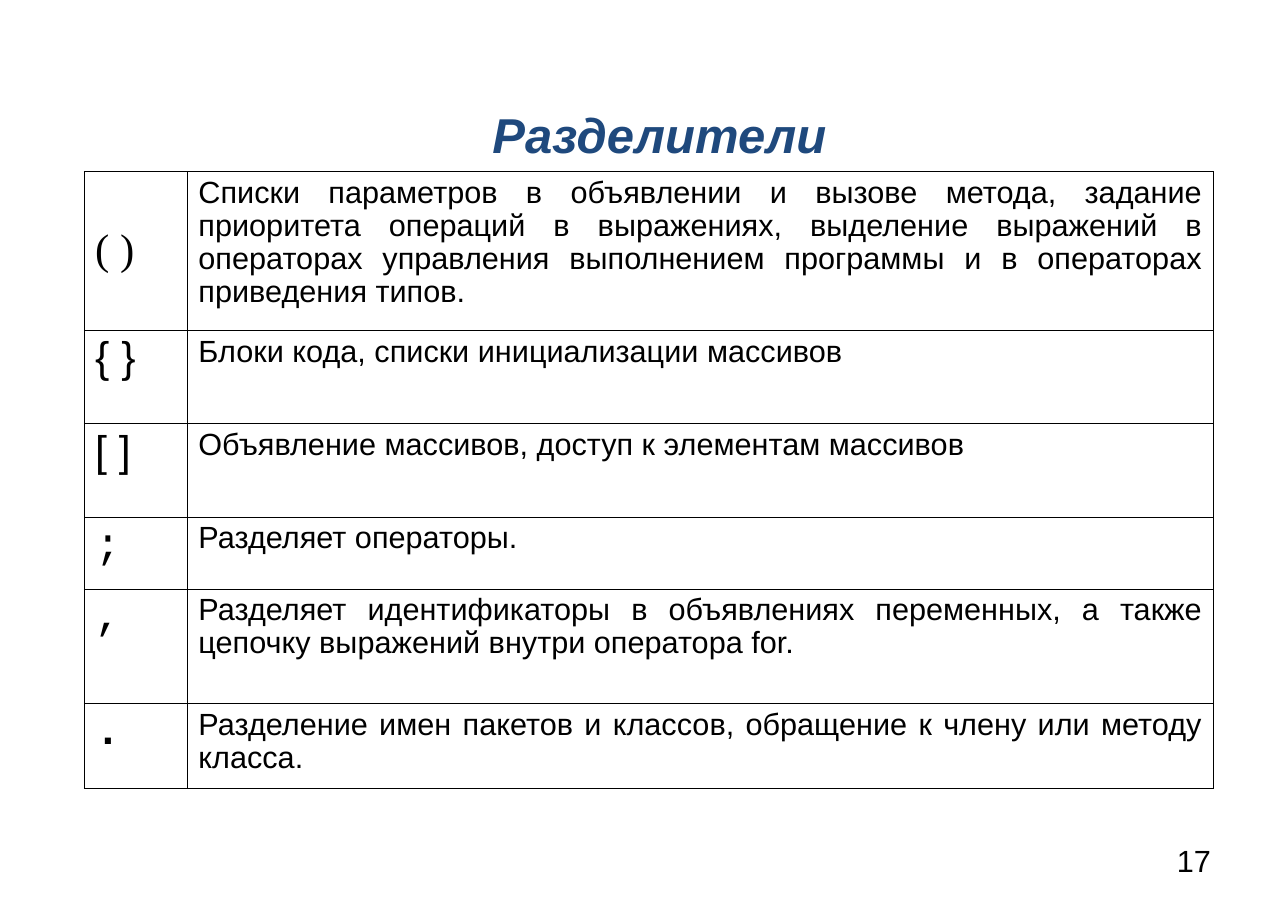
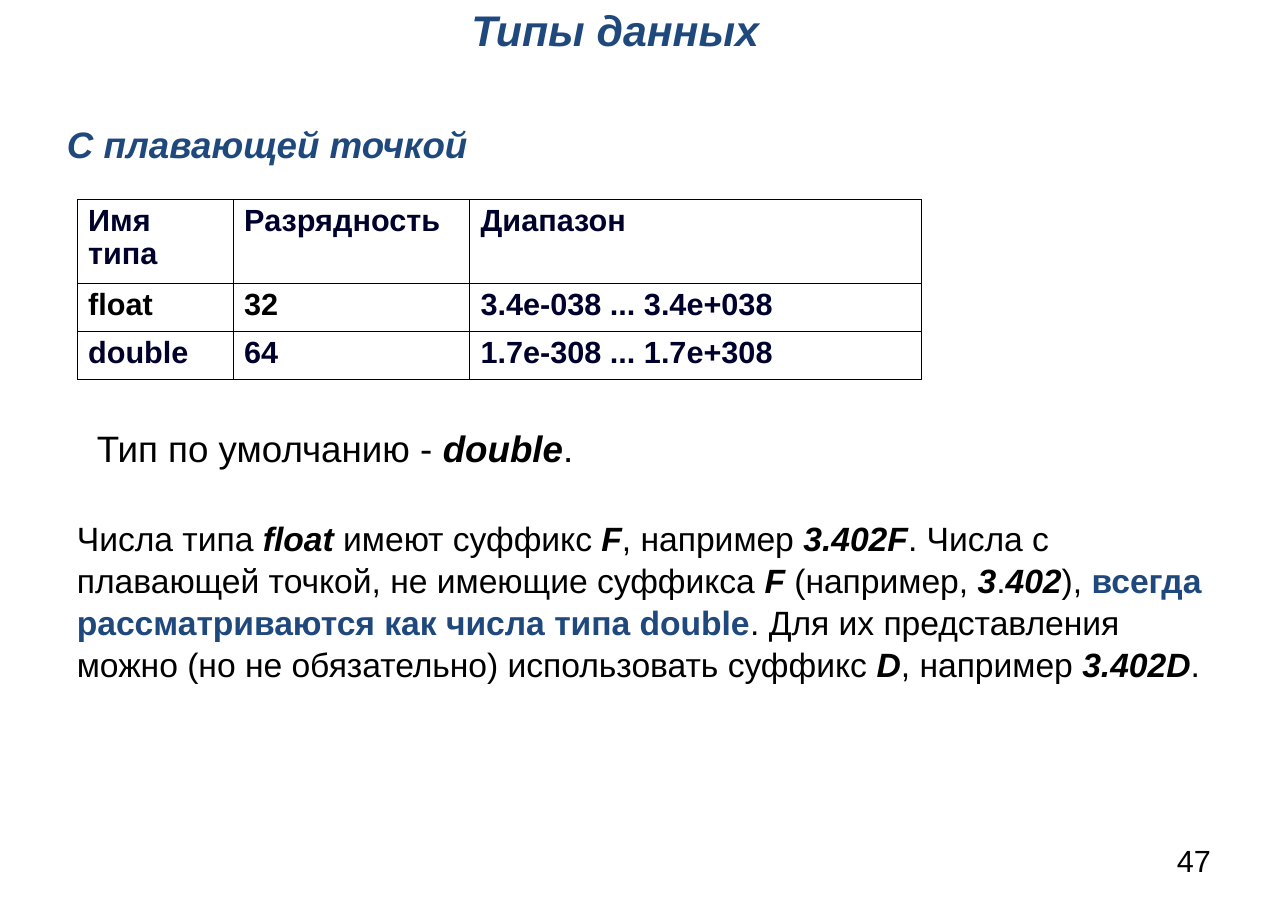
"""Builds two lecture slides on separators and floating-point types."""
from dataclasses import dataclass

from lxml import etree
from pptx import Presentation
from pptx.dml.color import RGBColor
from pptx.enum import text as t
from pptx.oxml import ns
from pptx.util import Pt


@dataclass(frozen=True)
class Theme:
    """Colours, fonts and type sizes of the deck."""
    accent: str = "1F497D"
    ink: str = "000000"
    navy: str = "00002C"
    paper: str = "FFFFFF"
    sans: str = "Arial"
    serif: str = "Times New Roman"
    mono: str = "Courier New"
    cell: int = 20
    prose: int = 22
    lead: int = 24
    symbol: int = 28
    border: float = 0.45


THEME = Theme()


@dataclass(frozen=True)
class Style:
    """Look of one run of text."""
    size: float
    color: str = THEME.ink
    bold: bool = False
    italic: bool = False
    font: str = THEME.sans


class Deck:
    """Holds the presentation, the theme and the current slide."""

    def __init__(self, width, height):
        self.file = Presentation()
        self.file.slide_width, self.file.slide_height = Pt(width), Pt(height)
        self.slide = None

    def new_slide(self, heading, center, top, size, number):
        """Add a slide with its title and page number."""
        self.slide = self.file.slides.add_slide(self.file.slide_layouts[5])
        title = self.slide.shapes.title
        width, height = 290, 38
        title.left, title.top = Pt(center - width / 2), Pt(top)
        title.width, title.height = Pt(width), Pt(height)
        self.fill_frame(title.text_frame,
                        [(heading, Style(size, THEME.accent, True, True))],
                        align=t.PP_ALIGN.CENTER, insets=(0, 0),
                        anchor=t.MSO_ANCHOR.MIDDLE)
        self.text(769, 550, 26, 24, [(number, Style(THEME.cell))], insets=(0, 0))

    def fill_frame(self, frame, runs, align=t.PP_ALIGN.LEFT, spacing=1.0,
                   insets=(7.2, 3.6), anchor=t.MSO_ANCHOR.TOP):
        """Format a text frame and add its runs."""
        frame.word_wrap = True
        frame.auto_size = t.MSO_AUTO_SIZE.NONE
        frame.vertical_anchor = anchor
        frame.margin_left = frame.margin_right = Pt(insets[0])
        frame.margin_top = frame.margin_bottom = Pt(insets[1])
        self.add_runs(frame.paragraphs[0], runs, align, spacing)

    def add_runs(self, paragraph, runs, align=t.PP_ALIGN.LEFT, spacing=1.0):
        """Add styled runs to a paragraph."""
        paragraph.alignment = align
        paragraph.line_spacing = spacing
        for words, style in runs:
            run = paragraph.add_run()
            run.text = words
            run.font.size = Pt(style.size)
            run.font.name = style.font
            run.font.bold, run.font.italic = style.bold, style.italic
            run.font.color.rgb = RGBColor.from_string(style.color)

    def text(self, left, top, width, height, runs, **layout):
        """Add a text box."""
        box = self.slide.shapes.add_textbox(Pt(left), Pt(top), Pt(width), Pt(height))
        self.fill_frame(box.text_frame, runs, **layout)

    def table(self, left, top, widths, heights, rows):
        """Add a ruled table whose cells are (words, style, alignment)."""
        grid = self.slide.shapes.add_table(
            len(heights), len(widths), Pt(left), Pt(top),
            Pt(sum(widths)), Pt(sum(heights))).table
        grid.first_row = grid.horz_banding = False
        for column, width in zip(grid.columns, widths):
            column.width = Pt(width)
        for row, height, entries in zip(grid.rows, heights, rows):
            row.height = Pt(height)
            for cell, (words, style, align) in zip(row.cells, entries):
                cell.margin_left = cell.margin_right = Pt(7.2)
                cell.margin_top = cell.margin_bottom = Pt(3.6)
                self.add_runs(cell.text_frame.paragraphs[0], [(words, style)], align, 0.97)
                self.rule(cell)
                cell.fill.solid()
                cell.fill.fore_color.rgb = RGBColor.from_string(THEME.paper)
        return grid

    def rule(self, cell):
        """Draw thin borders on all sides of a cell."""
        properties = cell._tc.get_or_add_tcPr()
        for side in ("a:lnL", "a:lnR", "a:lnT", "a:lnB"):
            line = etree.SubElement(properties, ns.qn(side), w=str(Pt(THEME.border)))
            fill = etree.SubElement(line, ns.qn("a:solidFill"))
            etree.SubElement(fill, ns.qn("a:srgbClr"), val=THEME.ink)


def separators(deck):
    """Build the slide on separators."""
    deck.new_slide("Разделители", center=431, top=68.5, size=32, number="17")
    sans = Style(THEME.symbol)
    mono = Style(THEME.symbol, font=THEME.mono)
    meanings = [
        ("( )", Style(THEME.symbol, font=THEME.serif),
         "Списки параметров в объявлении и вызове метода, задание приоритета операций "
         "в выражениях, выделение выражений в операторах управления выполнением "
         "программы и в операторах приведения типов."),
        ("{ }", sans, "Блоки кода, списки инициализации массивов"),
        ("[ ]", sans, "Объявление массивов, доступ к элементам массивов"),
        (";", mono, "Разделяет операторы."),
        (",", mono, "Разделяет идентификаторы в объявлениях переменных, а также "
                    "цепочку выражений внутри оператора for."),
        (".", Style(THEME.symbol, bold=True, font=THEME.mono),
         "Разделение имен пакетов и классов, обращение к члену или методу класса."),
    ]
    rows = [[(symbol, style, t.PP_ALIGN.LEFT),
             (meaning, Style(THEME.cell), t.PP_ALIGN.JUSTIFY)]
            for symbol, style, meaning in meanings]
    grid = deck.table(55, 112, [67.5, 670.5], [104, 61, 61, 47, 75, 55.5], rows)
    grid.cell(0, 0).vertical_anchor = t.MSO_ANCHOR.MIDDLE


def floating_point(deck):
    """Build the slide on floating-point types."""
    deck.new_slide("Типы данных", center=402, top=0, size=28, number="47")
    deck.text(36.7, 76.3, 385, 36,
              [("С плавающей точкой", Style(THEME.lead, THEME.accent, True, True))])

    navy, black = (Style(THEME.cell, color, True) for color in (THEME.navy, THEME.ink))
    types = [
        (("Имя типа", navy), ("Разрядность", navy), ("Диапазон", navy)),
        (("float", black), ("32", black), ("3.4е-038 ... 3.4е+038", navy)),
        (("double", navy), ("64", navy), ("1.7е-308 ... 1.7е+308", navy)),
    ]
    rows = [[(words, style, t.PP_ALIGN.LEFT) for words, style in row] for row in types]
    deck.table(50.4, 130.3, [102, 154.5, 295.5], [55, 31.3, 31.3], rows)

    lead = Style(THEME.lead)
    deck.text(56.2, 274.5, 430, 36, [
        ("Тип по умолчанию - ", lead),
        ("double", Style(THEME.lead, bold=True, italic=True)),
        (".", lead)])

    plain = Style(THEME.prose)
    term = Style(THEME.prose, bold=True, italic=True)
    deck.text(43.2, 334, 750, 140, [
        ("Числа типа ", plain), ("float ", term), ("имеют суффикс ", plain),
        ("F", term), (", например ", plain), ("3.402F", term),
        (". Числа с плавающей точкой, не имеющие суффикса ", plain), ("F ", term),
        ("(например, ", plain), ("3", term), (".", plain), ("402", term), ("), ", plain),
        ("всегда рассматриваются как числа типа double",
         Style(THEME.prose, THEME.accent, True)),
        (". Для их представления можно (но не обязательно) использовать суффикс ", plain),
        ("D", term), (", например ", plain), ("3.402D", term), (".", plain)],
        spacing=1.04)


def main():
    """Build and save the deck."""
    deck = Deck(841.68, 596.16)
    separators(deck)
    floating_point(deck)
    deck.file.save("out.pptx")


if __name__ == "__main__":
    main()
